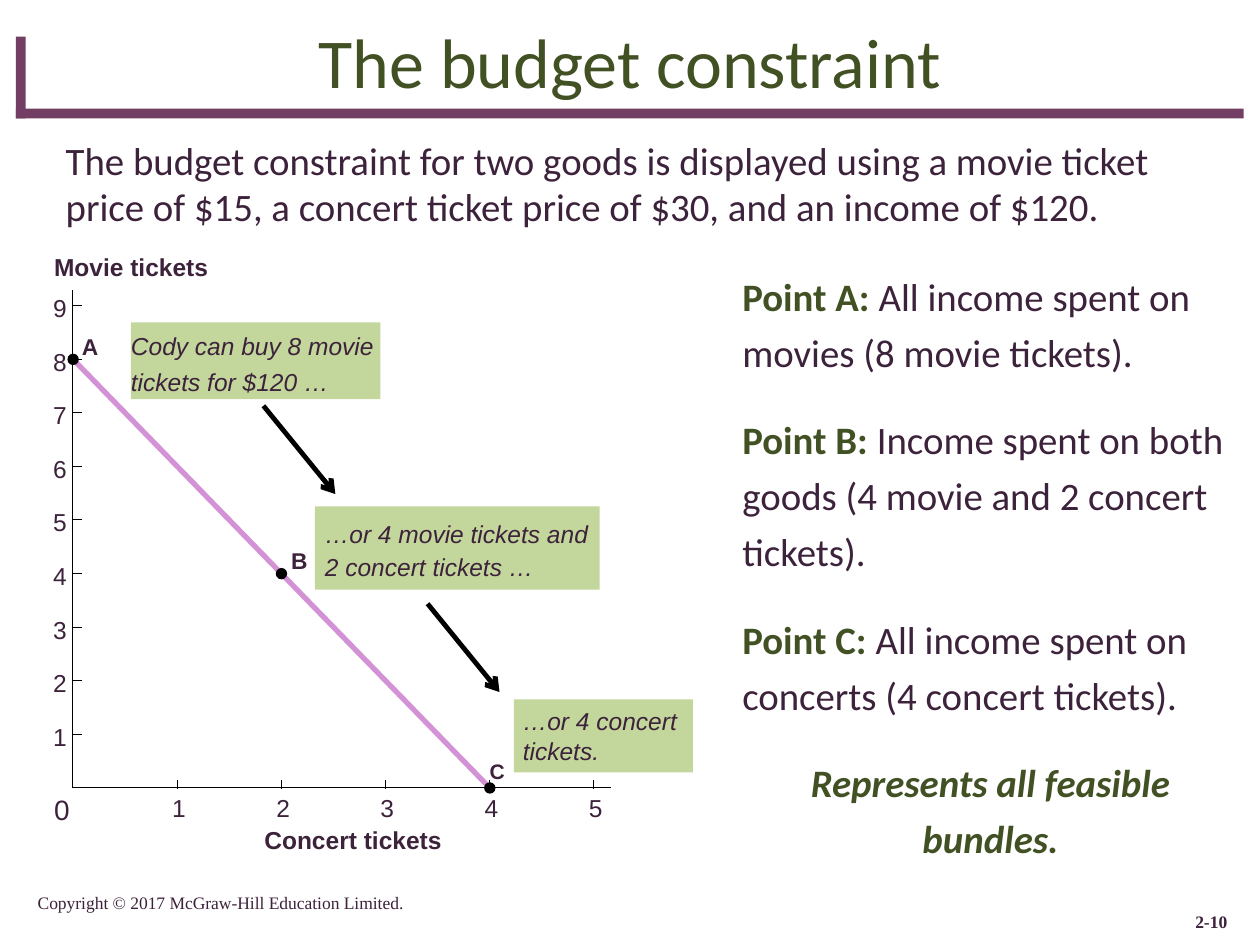
from lxml import etree
from pptx import Presentation
from pptx.dml.color import RGBColor
from pptx.enum.shapes import MSO_CONNECTOR, MSO_SHAPE
from pptx.enum.text import MSO_ANCHOR, MSO_AUTO_SIZE, PP_ALIGN
from pptx.oxml.ns import qn
from pptx.util import Cm, Pt

PLUM = RGBColor(0x72, 0x3E, 0x63)
INK = RGBColor(0x3D, 0x22, 0x3B)
OLIVE = RGBColor(0x42, 0x51, 0x24)
SAGE = RGBColor(0xC3, 0xD6, 0x9B)
LILAC = RGBColor(0xD4, 0x92, 0xD6)
BLACK = RGBColor(0, 0, 0)


def add_run(p, text, size, font, color=INK, bold=False, italic=False):
    r = p.add_run()
    r.text = text
    f = r.font
    f.size, f.name, f.bold, f.italic = Pt(size), font, bold, italic
    f.color.rgb = color


def place(sp, x, y, w, h):
    sp.left, sp.top, sp.width, sp.height = Cm(x), Cm(y), Cm(w), Cm(h)


def add_filled(slide, kind, x, y, w, h, color):
    sp = slide.shapes.add_shape(kind, Cm(x), Cm(y), Cm(w), Cm(h))
    sp.shadow.inherit = False
    sp.fill.solid()
    sp.fill.fore_color.rgb = color
    sp.line.fill.background()
    return sp


def add_line(slide, x1, y1, x2, y2, width=0.5, arrow=False):
    ln = slide.shapes.add_connector(
        MSO_CONNECTOR.STRAIGHT, Cm(x1), Cm(y1), Cm(x2), Cm(y2))
    ln.line.color.rgb = BLACK
    ln.line.width = Pt(width)
    sp_pr = ln._element.spPr
    if arrow:
        etree.SubElement(sp_pr.find(qn("a:ln")), qn("a:tailEnd"), type="arrow")
    etree.SubElement(sp_pr, qn("a:effectLst"))


def add_label(slide, text, x, y, w, size=14, bold=False):
    tb = slide.shapes.add_textbox(Cm(x), Cm(y), Cm(w), Cm(size * 0.043))
    tf = tb.text_frame
    tf.margin_left = tf.margin_right = tf.margin_top = tf.margin_bottom = 0
    tf.word_wrap = False
    add_run(tf.paragraphs[0], text, size, "Arial", bold=bold)


def add_callout(slide, text, x, y, w, h, inset, spacing):
    sp = add_filled(slide, MSO_SHAPE.RECTANGLE, x, y, w, h, SAGE)
    tf = sp.text_frame
    tf.margin_left = Cm(inset)
    tf.margin_right = tf.margin_top = tf.margin_bottom = 0
    tf.word_wrap = True
    tf.vertical_anchor = MSO_ANCHOR.MIDDLE
    p = tf.paragraphs[0]
    p.alignment = PP_ALIGN.LEFT
    p.line_spacing = spacing
    add_run(p, text, 14, "Arial", italic=True)


def add_header(slide, x, y, w, h):
    add_filled(slide, MSO_SHAPE.RECTANGLE, x, y + h - 0.2, w, 0.2, PLUM)
    add_filled(slide, MSO_SHAPE.RECTANGLE, x, y, 0.2, h, PLUM)
    title = slide.shapes.title
    place(title, x + 0.95, y - 0.31, 22.86, 1.57)
    tf = title.text_frame
    tf.auto_size = MSO_AUTO_SIZE.NONE
    tf.vertical_anchor = MSO_ANCHOR.MIDDLE
    p = tf.paragraphs[0]
    p.alignment = PP_ALIGN.CENTER
    add_run(p, "The budget constraint", 40, "Calibri", OLIVE)


def fill_body(sp, x, y, w, h, paragraphs, spacing=1.0):
    place(sp, x, y, w, h)
    tf = sp.text_frame
    tf.auto_size = MSO_AUTO_SIZE.NONE
    for i, (align, runs) in enumerate(paragraphs):
        p = tf.add_paragraph() if i else tf.paragraphs[0]
        p_pr = p._p.get_or_add_pPr()
        p_pr.set("marL", "0")
        p_pr.set("indent", "0")
        etree.SubElement(p_pr, qn("a:buNone"))
        p.alignment = align
        p.line_spacing = spacing
        p.space_before = Pt(12 if i else 0)
        p.space_after = Pt(6)
        for text, color, bold, italic in runs:
            add_run(p, text, 22.2, "Calibri", color, bold, italic)


def add_graph(slide, x, y):
    step_x, step_y = 2.1, 1.08
    x0, y0 = x + 0.4, y + 10.8

    def at(concerts, movies):
        return x0 + concerts * step_x, y0 - movies * step_y

    add_line(slide, x0, y0, x0, y + 0.76)
    add_line(slide, x0, y0, x + 11.25, y0)
    for n in range(1, 10):
        ty = at(0, n)[1]
        add_line(slide, x0, ty, x0 + 0.18, ty)
        add_label(slide, str(n), x, ty - 0.25, 0.28)
    for n in range(1, 6):
        tx = at(n, 0)[0]
        add_line(slide, tx, y0 - 0.15, tx, y0 + 0.03)
        add_label(slide, str(n), tx - 0.1, y0 + 0.1, 0.28)
    add_label(slide, "0", x + 0.02, y0 + 0.1, 0.3, 16)
    add_label(slide, "Movie tickets", x + 0.02, y, 3.12, bold=True)
    add_label(slide, "Concert tickets", x + 4.26, y + 11.56, 3.58, bold=True)

    budget = [tuple(Cm(v) for v in at(n / 2, 8 - n)) for n in range(9)]
    fb = slide.shapes.build_freeform(*budget[0])
    fb.add_line_segments(budget[1:], close=False)
    sp = fb.convert_to_shape()
    sp.shadow.inherit = False
    sp.fill.background()
    sp.line.color.rgb = LILAC
    sp.line.width = Pt(3)

    points = [("A", 0, 8, 0.18, -0.53, 13), ("B", 2, 4, 0.2, -0.53, 13),
              ("C", 4, 0, 0, -0.58, 12)]
    for name, concerts, movies, dx, dy, size in points:
        px, py = at(concerts, movies)
        add_label(slide, name, px + dx, py + dy, 0.33, size, True)
        add_filled(slide, MSO_SHAPE.OVAL, px - 0.11, py - 0.11, 0.23, 0.23, BLACK)

    callouts = [
        ("Cody can buy 8 movie tickets for $120 …", 1.57, 1.42, 5.03, 1.55, 0, 1.2),
        ("…or 4 movie tickets and 2 concert tickets …", 5.28, 5.13, 5.74, 1.68, 0.2, 1.15),
        ("…or 4 concert tickets.", 9.29, 9.02, 3.61, 1.47, 0.18, 1.0),
    ]
    for text, dx, dy, w, h, inset, spacing in callouts:
        add_callout(slide, text, x + dx, y + dy, w, h, inset, spacing)
    for dx, dy in [(4.24, 3.1), (7.55, 7.09)]:
        add_line(slide, x + dx, y + dy, x + dx + 1.45, y + dy + 1.78, 2.75, True)


def add_footer(slide, x, y, w, h, text, align, bold=False):
    tf = slide.shapes.add_textbox(Cm(x), Cm(y), Cm(w), Cm(h)).text_frame
    tf.word_wrap = True
    tf.vertical_anchor = MSO_ANCHOR.BOTTOM
    p = tf.paragraphs[0]
    p.alignment = align
    add_run(p, text, 10, "Times New Roman", bold=bold)


def main():
    prs = Presentation()
    prs.slide_width, prs.slide_height = Cm(25.4), Cm(19.05)
    slide = prs.slides.add_slide(prs.slide_layouts[3])
    left, center = PP_ALIGN.LEFT, PP_ALIGN.CENTER
    add_header(slide, 0.32, 0.74, 24.75, 1.65)
    add_graph(slide, 1.07, 5.08)

    intro = ("The budget constraint for two goods is displayed using a movie ticket "
             "price of $15, a concert ticket price of $30, and an income of $120.")
    fill_body(slide.placeholders[1], 1.07, 2.62, 22.86, 2.34,
              [(left, [(intro, INK, False, False)])])
    points = [
        ("Point A:", " All income spent on movies (8 movie tickets)."),
        ("Point B:", " Income spent on both goods (4 movie and 2 concert tickets)."),
        ("Point C: ", "All income spent on concerts (4 concert tickets)."),
    ]
    notes = [(left, [(head, OLIVE, True, False), (rest, INK, False, False)])
             for head, rest in points]
    notes.append((center, [("Represents all feasible bundles.", OLIVE, True, True)]))
    fill_body(slide.placeholders[2], 14.71, 5.18, 10.52, 12.12, notes, 1.2)

    add_footer(slide, 0.51, 17.78, 11.86, 0.76,
               "Copyright © 2017 McGraw-Hill Education Limited.", left)
    add_footer(slide, 23.77, 18.16, 1.22, 0.76, "2-10", PP_ALIGN.RIGHT, True)
    prs.save("out.pptx")


if __name__ == "__main__":
    main()
